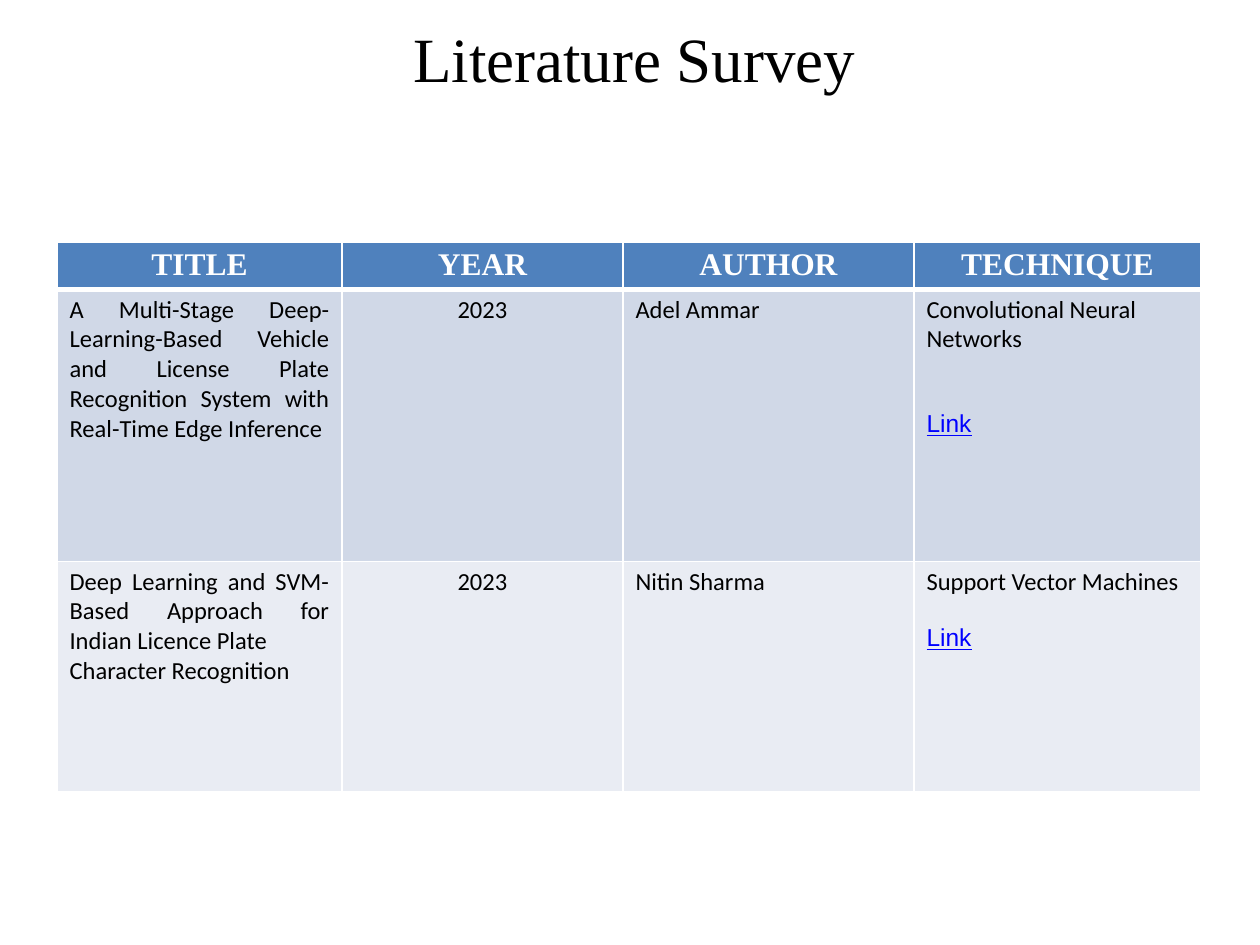
from dataclasses import dataclass

from lxml import etree
from pptx import Presentation
from pptx import util as u
from pptx.dml.color import RGBColor
from pptx.enum import text
from pptx.oxml.ns import qn

EMU_PER_PX = 914400 / 126
BLACK = RGBColor(0x00, 0x00, 0x00)
WHITE = RGBColor(0xFF, 0xFF, 0xFF)
LINK_BLUE = RGBColor(0x00, 0x00, 0xFF)
HEADER_BLUE = RGBColor(0x4F, 0x81, 0xBD)
ROW_FILLS = (RGBColor(0xD0, 0xD8, 0xE7), RGBColor(0xE9, 0xEC, 0xF3))

LEFT, CENTER, JUSTIFY = (text.PP_ALIGN.LEFT, text.PP_ALIGN.CENTER,
                         text.PP_ALIGN.JUSTIFY)
COLUMN_WIDTHS = (285, 281, 291, 287)
ROW_HEIGHTS = (47, 272, 230)
THIN, THICK = 0.96, 3


@dataclass(frozen=True)
class Style:
    font: str
    size: int
    color: RGBColor
    bold: bool = False
    underline: bool = False


TITLE = Style("Times New Roman", 36, BLACK)
HEADER = Style("Times New Roman", 18, WHITE, bold=True)
BODY = Style("Calibri", 14, BLACK)
LINK = Style("Arial", 14, LINK_BLUE, underline=True)


@dataclass(frozen=True)
class Line:
    words: str
    style: Style = BODY
    align: text.PP_ALIGN = LEFT
    space_before: int = 0


@dataclass(frozen=True)
class Paper:
    title: tuple[str, ...]
    year: str
    author: str
    technique: str
    link_gap: int

    def cells(self) -> list[list[Line]]:
        return [
            [Line(words, align=JUSTIFY) for words in self.title],
            [Line(self.year, align=CENTER)],
            [Line(self.author)],
            [Line(self.technique), Line("Link", LINK, space_before=self.link_gap)],
        ]


HEADINGS = ("TITLE", "YEAR", "AUTHOR", "TECHNIQUE")
PAPERS = (
    Paper(("A Multi-Stage Deep-Learning-Based Vehicle and License Plate "
           "Recognition System with Real-Time Edge Inference",),
          "2023", "Adel Ammar", "Convolutional Neural Networks", 32),
    Paper(("Deep Learning and SVM-Based Approach for Indian Licence Plate",
           "Character Recognition"),
          "2023", "Nitin Sharma", "Support Vector Machines", 16),
)


def px(length: int) -> u.Emu:
    return u.Emu(round(length * EMU_PER_PX))


def write_lines(frame, lines: list[Line]) -> None:
    for index, line in enumerate(lines):
        paragraph = frame.add_paragraph() if index else frame.paragraphs[0]
        paragraph.alignment = line.align
        paragraph.space_before = u.Pt(line.space_before)
        run = paragraph.add_run()
        run.text = line.words
        font, style = run.font, line.style
        font.name, font.size = style.font, u.Pt(style.size)
        font.bold, font.underline = style.bold, style.underline
        font.color.rgb = style.color


def set_borders(cell, top: float, bottom: float) -> None:
    properties = cell._tc.get_or_add_tcPr()
    widths = {"a:lnL": THIN, "a:lnR": THIN, "a:lnT": top, "a:lnB": bottom}
    for index, (tag, width) in enumerate(widths.items()):
        border = etree.Element(qn(tag), w=str(u.Pt(width)))
        fill = etree.SubElement(border, qn("a:solidFill"))
        etree.SubElement(fill, qn("a:srgbClr"), val=str(WHITE))
        properties.insert(index, border)


def add_title(slide) -> None:
    shape = slide.shapes.add_textbox(px(68), px(10), px(1133), px(166))
    frame = shape.text_frame
    frame.word_wrap = True
    frame.vertical_anchor = text.MSO_ANCHOR.TOP
    frame.margin_left = frame.margin_right = frame.margin_bottom = 0
    frame.margin_top = px(10)
    write_lines(frame, [Line("Literature Survey", TITLE, CENTER)])


def add_survey_table(slide) -> None:
    rows = [[[Line(words, HEADER, CENTER)] for words in HEADINGS]]
    rows += [paper.cells() for paper in PAPERS]
    table = slide.shapes.add_table(
        len(rows), len(HEADINGS), px(57), px(242),
        px(sum(COLUMN_WIDTHS)), px(sum(ROW_HEIGHTS))).table
    for column, width in zip(table.columns, COLUMN_WIDTHS):
        column.width = px(width)
    for row, height in zip(table.rows, ROW_HEIGHTS):
        row.height = px(height)
    for row_index, row in enumerate(rows):
        for column_index, lines in enumerate(row):
            cell = table.cell(row_index, column_index)
            cell.margin_top = cell.margin_bottom = px(5)
            cell.fill.solid()
            cell.fill.fore_color.rgb = (HEADER_BLUE, *ROW_FILLS)[row_index]
            set_borders(cell, top=THICK if row_index == 1 else THIN,
                        bottom=THICK if row_index == 0 else THIN)
            write_lines(cell.text_frame, lines)


def main() -> None:
    presentation = Presentation()
    presentation.slide_width, presentation.slide_height = px(1260), px(945)
    slide = presentation.slides.add_slide(presentation.slide_layouts[6])
    add_title(slide)
    add_survey_table(slide)
    presentation.save("out.pptx")


if __name__ == "__main__":
    main()
